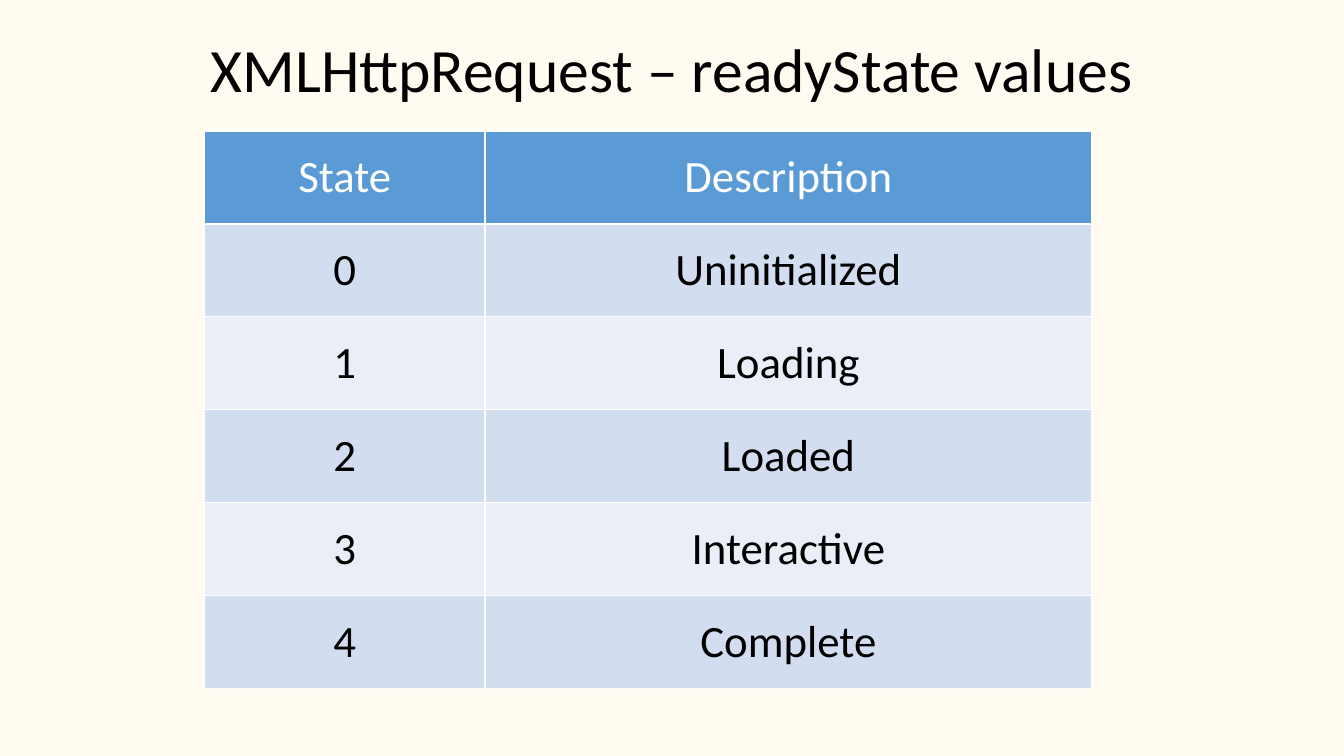
from lxml.etree import SubElement
from pptx import Presentation
from pptx.dml.color import RGBColor
from pptx.enum.text import MSO_ANCHOR, PP_ALIGN
from pptx.oxml.ns import qn
from pptx.util import Inches, Pt


def rgb(color):
    return RGBColor.from_string(color)


def format_text(p, size, color):
    p.alignment = PP_ALIGN.CENTER
    font = p.runs[0].font
    font.name, font.size, font.bold = "Calibri", Pt(size), False
    font.color.rgb = rgb(color)


prs = Presentation()
prs.slide_width, prs.slide_height = Inches(13.33), Inches(7.5)
s = prs.slides.add_slide(prs.slide_layouts[6])
s.background.fill.solid()
s.background.fill.fore_color.rgb = rgb("FFFBF1")

# Title
title = s.shapes.add_textbox(0, Inches(0.14), prs.slide_width, Inches(1.16))
tf = title.text_frame
tf.word_wrap = True
tf.vertical_anchor = MSO_ANCHOR.MIDDLE
tf.text = "XMLHttpRequest – readyState values"
tf.paragraphs[0].line_spacing = 0.9
format_text(tf.paragraphs[0], 44, "000000")

# Table of states
rows = [("State", "Description")] + [
    (str(state), name) for state, name in enumerate(
        ["Uninitialized", "Loading", "Loaded", "Interactive", "Complete"])]
table = s.shapes.add_table(len(rows), 2, Inches(2.03), Inches(1.3),
                           Inches(8.8), Inches(5.53)).table
table.columns[0].width = Inches(2.78)
table.columns[1].width = Inches(6.02)

for i, row in enumerate(rows):
    fill = "5B9BD5" if i == 0 else ("EAEFF7", "D2DEEF")[i % 2]
    for j, text in enumerate(row):
        cell = table.cell(i, j)
        cell.vertical_anchor = MSO_ANCHOR.MIDDLE
        cell.text_frame.text = text
        format_text(cell.text_frame.paragraphs[0], 32, "FFFFFF" if i == 0 else "000000")
        # Borders must precede the fill in the cell properties
        for side in ("lnL", "lnR", "lnT", "lnB"):
            ln = SubElement(cell._tc.get_or_add_tcPr(), qn(f"a:{side}"), w=str(Pt(1)))
            SubElement(SubElement(ln, qn("a:solidFill")), qn("a:srgbClr"), val="FFFFFF")
        cell.fill.solid()
        cell.fill.fore_color.rgb = rgb(fill)

prs.save("out.pptx")
